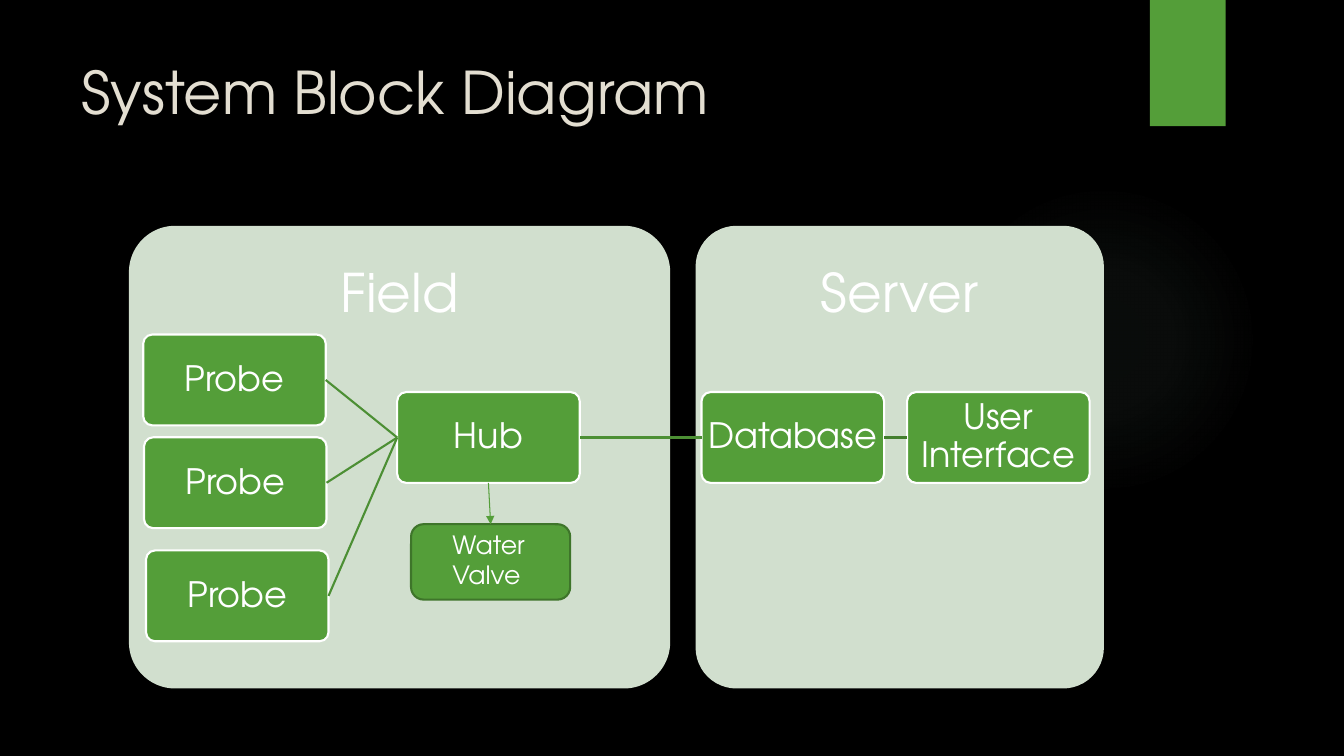
from lxml import etree
from pptx import Presentation
from pptx import util as u
from pptx.dml.color import RGBColor
from pptx.enum import shapes, text
from pptx.oxml import parse_xml
from pptx.oxml.ns import nsdecls, qn

TOP, LEFT, BOTTOM, RIGHT = range(4)
GREEN, WHITE, LINK_GREEN = "549E39", "FFFFFF", "4C8F34"
MARGINS = ("margin_left", "margin_top", "margin_right", "margin_bottom")


def colour(value):
    return RGBColor.from_string(value)


def assign(target, values):
    for name, value in values.items():
        setattr(target, name, value)


class Diagram:
    """Holds the slide and its style; all lengths are in centimetres."""

    font = "TeX Gyre Adventor"
    centred = {"alignment": text.PP_ALIGN.CENTER, "line_spacing": 0.9}

    def __init__(self, slide):
        self.slide = slide
        slide.background.fill.solid()
        slide.background.fill.fore_color.rgb = colour("000000")

    def add_words(self, shape, words, size, tone=WHITE, inset=None,
                  anchor=text.MSO_ANCHOR.TOP, paragraph_format=None):
        frame = shape.text_frame
        assign(frame, {"word_wrap": True, "vertical_anchor": anchor})
        if inset is not None:
            assign(frame, dict.fromkeys(MARGINS, u.Cm(inset)))
        paragraph = frame.paragraphs[0]
        assign(paragraph, paragraph_format or {})
        run = paragraph.add_run()
        run.text = words
        assign(run.font, {"name": self.font, "size": u.Pt(size)})
        run.font.color.rgb = colour(tone)

    def label(self, box, words, size, **style):
        shape = self.slide.shapes.add_textbox(*map(u.Cm, box))
        self.add_words(shape, words, size, **style)

    def block(self, box, fill, line=None, kind=shapes.MSO_SHAPE.ROUNDED_RECTANGLE,
              corner=None):
        shape = self.slide.shapes.add_shape(kind, *map(u.Cm, box))
        shape.shadow.inherit = False
        shape.fill.solid()
        shape.fill.fore_color.rgb = colour(fill)
        if line:
            shape.line.color.rgb = colour(line)
            shape.line.width = u.Pt(1.5)
        else:
            shape.line.fill.background()
        if corner:
            shape.adjustments[0] = corner
        return shape

    def glow(self, box, tone, stops):
        """Ellipse fading outwards; stops are (position, opacity) percentages."""
        shape = self.block(box, tone, kind=shapes.MSO_SHAPE.OVAL)
        stop_xml = "".join(
            f'<a:gs pos="{position * 1000}"><a:srgbClr val="{tone}">'
            f'<a:alpha val="{opacity * 1000}"/></a:srgbClr></a:gs>'
            for position, opacity in stops)
        gradient = parse_xml(
            f'<a:gradFill {nsdecls("a")}><a:gsLst>{stop_xml}</a:gsLst>'
            '<a:path path="circle"><a:fillToRect l="50000" t="50000" '
            'r="50000" b="50000"/></a:path></a:gradFill>')
        properties = shape.element.spPr
        properties.replace(properties.find(qn("a:solidFill")), gradient)

    def panel(self, left, width, words):
        self.block((left, 5.69, width, 11.66), "D1DFCE", corner=0.1)
        self.label((left, 5.69, width, 3.51), words, 38, inset=0.76,
                   anchor=text.MSO_ANCHOR.MIDDLE, paragraph_format=self.centred)

    def node(self, left, top, words):
        shape = self.block((left, top, 4.6, 2.29), GREEN, WHITE, corner=0.1)
        self.add_words(shape, words, 25, inset=0.05, anchor=text.MSO_ANCHOR.MIDDLE,
                       paragraph_format=self.centred)
        return shape

    def link(self, start, start_side, end, end_side,
             tone=LINK_GREEN, width=1.5, arrow=False):
        connector = self.slide.shapes.add_connector(
            shapes.MSO_CONNECTOR.STRAIGHT, 0, 0, 0, 0)
        connector.begin_connect(start, start_side)
        connector.end_connect(end, end_side)
        connector.line.color.rgb = colour(tone)
        connector.line.width = u.Pt(width)
        properties = connector.element.spPr
        if arrow:
            etree.SubElement(properties.find(qn("a:ln")), qn("a:tailEnd"),
                             type="triangle")
        etree.SubElement(properties, qn("a:effectLst"))


def main():
    presentation = Presentation()
    assign(presentation, {"slide_width": u.Cm(33.87), "slide_height": u.Cm(19.05)})
    diagram = Diagram(presentation.slides.add_slide(presentation.slide_layouts[6]))

    diagram.glow((23.9, 4.65, 7.82, 7.82), "87A896", [(0, 7), (36, 6), (69, 0)])
    diagram.block((28.98, 0, 1.91, 3.18), GREEN, kind=shapes.MSO_SHAPE.RECTANGLE)
    diagram.label((1.8, 1.27, 26.14, 3.89), "System Block Diagram", 42, tone="E3DED1")

    diagram.panel(3.25, 13.64, "Field")
    diagram.panel(17.53, 10.29, "Server")

    hub, database, interface = (
        diagram.node(left, 9.88, words)
        for left, words in [(10.01, "Hub"), (17.68, "Database"),
                            (22.86, "User Interface")])
    diagram.link(interface, LEFT, database, RIGHT, tone="437F2E")
    diagram.link(database, LEFT, hub, RIGHT)
    for left, top in [(3.61, 8.43), (3.63, 11.02), (3.68, 13.87)]:
        diagram.link(hub, LEFT, diagram.node(left, top, "Probe"), RIGHT)

    valve = diagram.block((10.36, 13.21, 4.01, 1.9), GREEN, "3E752A")
    diagram.label((11.15, 13.21, 3.71, 1.8), "Water Valve", 18)
    diagram.link(hub, BOTTOM, valve, TOP, tone=GREEN, width=0.75, arrow=True)

    presentation.save("out.pptx")


if __name__ == "__main__":
    main()
